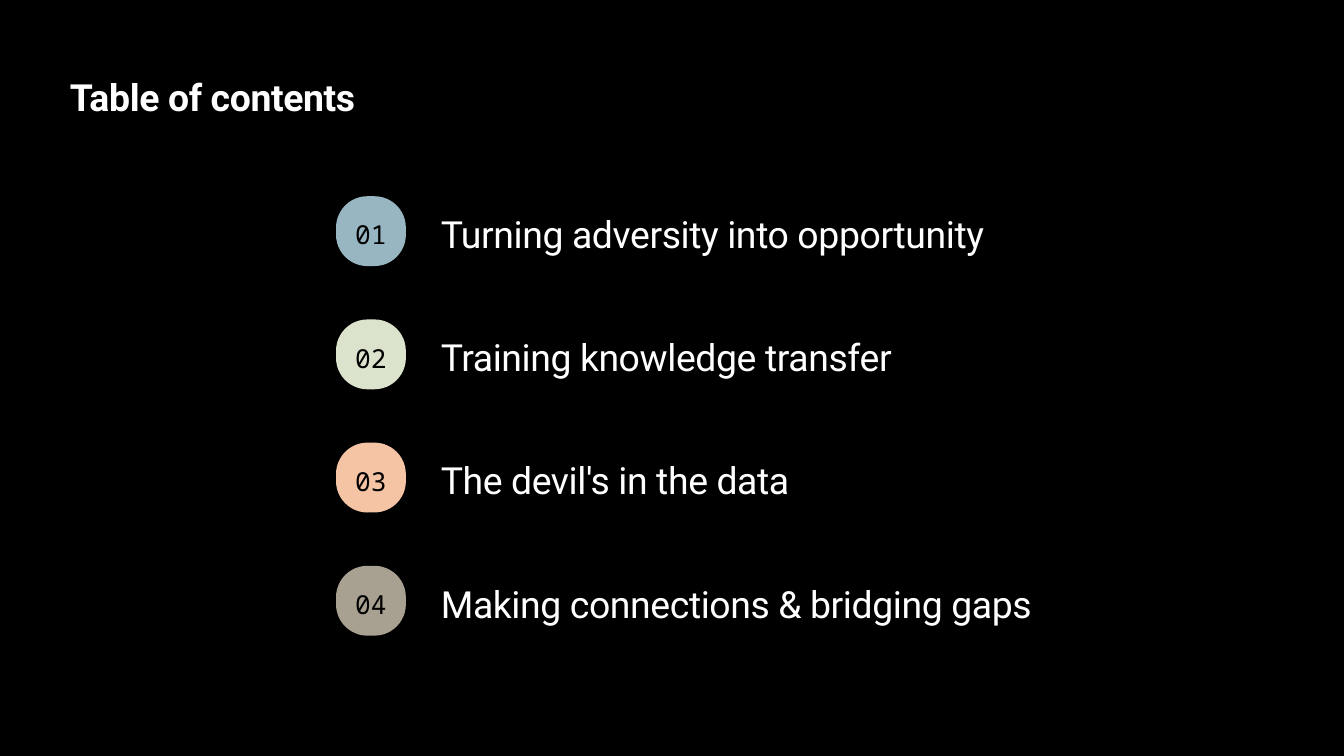
import pptx
import pptx.dml.color
import pptx.enum.shapes
import pptx.enum.text
import pptx.util
from pptx.util import Inches

COLORS = {
    "back": "000000",
    "light": "FFFFFF",
    "dark": "000000",
    "blue": "98B6C2",
    "green": "DBE3CD",
    "peach": "F4C4A4",
    "taupe": "A8A192",
}
TOPICS = [
    ("Turning adversity into opportunity", "blue"),
    ("Training knowledge transfer", "green"),
    ("The devil's in the data", "peach"),
    ("Making connections & bridging gaps", "taupe"),
]
FIRST, LAST = 1.46, 4.21
STEP = (LAST - FIRST) / (len(TOPICS) - 1)


def paint(fill, color):
    fill.solid()
    fill.fore_color.rgb = pptx.dml.color.RGBColor.from_string(COLORS[color])


def write(frame, text, font, size, color, lead, pad=(0, 0), bold=False):
    """Fill a frame with one line; pad is the side and end margin in inches."""
    frame.word_wrap = True
    frame.margin_left = frame.margin_right = Inches(pad[0])
    frame.margin_top = frame.margin_bottom = Inches(pad[1])
    frame.text = text
    para = frame.paragraphs[0]
    para.line_spacing = pptx.util.Pt(lead)
    run = para.runs[0]
    run.font.name = font
    run.font.size = pptx.util.Pt(size)
    run.font.bold = bold
    paint(run.font.fill, color)
    return para


def add_line(slide, text, left, top, width, bold=False):
    box = slide.shapes.add_textbox(
        Inches(left), Inches(top), Inches(width), Inches(0.37))
    para = write(box.text_frame, text, "Roboto", 20, "light", 26.3, bold=bold)
    para.runs[0]._r.get_or_add_rPr().set("spc", "-23")


def add_badge(slide, label, top, color):
    badge = slide.shapes.add_shape(
        pptx.enum.shapes.MSO_SHAPE.ROUNDED_RECTANGLE,
        Inches(2.5), Inches(top), Inches(0.52), Inches(0.52))
    badge.adjustments[0] = 0.45
    badge.shadow.inherit = False
    badge.line.fill.background()
    paint(badge.fill, color)
    frame = badge.text_frame
    frame.vertical_anchor = pptx.enum.text.MSO_ANCHOR.MIDDLE
    para = write(frame, label, "Noto Sans Mono", 14, "dark", 20.2, (0.03, 0.06))
    para.alignment = pptx.enum.text.PP_ALIGN.CENTER


def main():
    deck = pptx.Presentation()
    deck.slide_width = Inches(10)
    deck.slide_height = Inches(10 * 9 / 16)
    slide = deck.slides.add_slide(deck.slide_layouts[6])
    paint(slide.background.fill, "back")
    add_line(slide, "Table of contents", 0.52, 0.52, 5, bold=True)
    for row, (topic, color) in enumerate(TOPICS):
        top = FIRST + row * STEP
        add_badge(slide, f"{row + 1:02}", top, color)
        add_line(slide, topic, 3.28, top + 0.08, 6)
    deck.save("out.pptx")


if __name__ == "__main__":
    main()
